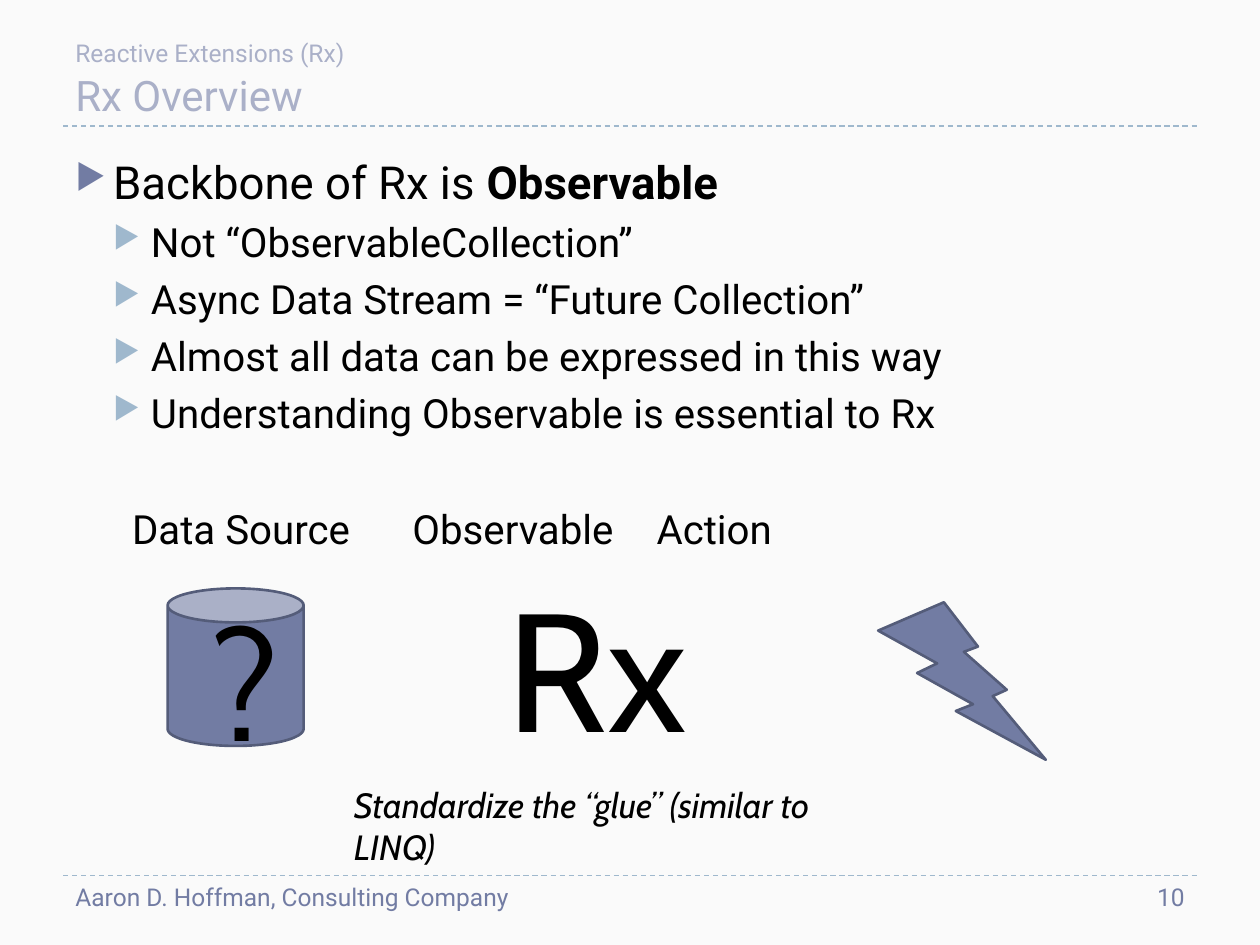
from dataclasses import dataclass

from lxml import etree
from pptx import Presentation
from pptx.dml.color import RGBColor
from pptx.enum.dml import MSO_LINE
from pptx.enum.shapes import MSO_CONNECTOR, MSO_SHAPE
from pptx.enum.text import MSO_ANCHOR, PP_ALIGN
from pptx.oxml.ns import qn
from pptx.util import Inches, Pt

CAN, BOLT = MSO_SHAPE.CAN, MSO_SHAPE.LIGHTNING_BOLT
STRAIGHT, DASH = MSO_CONNECTOR.STRAIGHT, MSO_LINE.DASH
TOP, BOTTOM = MSO_ANCHOR.TOP, MSO_ANCHOR.BOTTOM
LEFT, RIGHT = PP_ALIGN.LEFT, PP_ALIGN.RIGHT


@dataclass(frozen=True)
class Theme:
    background: str = "FAFAFA"
    primary: str = "727CA3"
    outline: str = "545C79"
    muted: str = "AAB0C8"
    accent: str = "9FB8CD"
    ink: str = "000000"
    body_font: str = "Roboto"
    display_font: str = "Cabin"
    small: int = 14
    caption: int = 20
    second_level: int = 23
    title: int = 24
    first_level: int = 26
    question: int = 88
    symbol: int = 96


class SlideBuilder:
    """Places elements on a grid of 40 columns by 30 rows, a quarter inch each."""

    CELL = 0.25

    def __init__(self, slide, theme):
        self.slide, self.theme = slide, theme
        fill = slide.background.fill
        fill.solid()
        fill.fore_color.rgb = RGBColor.from_string(theme.background)

    def grid(self, *cells):
        return [Inches(cell * self.CELL) for cell in cells]

    def rule(self, row):
        left, right, y = self.grid(2, 38, row)
        line = self.slide.shapes.add_connector(STRAIGHT, left, y, right, y)
        line.line.color.rgb = RGBColor.from_string(self.theme.accent)
        line.line.width = Pt(0.75)
        line.line.dash_style = DASH
        etree.SubElement(line._element.spPr, qn("a:effectLst"))

    def frame(self, area, anchor=TOP):
        text_frame = self.slide.shapes.add_textbox(*self.grid(*area)).text_frame
        text_frame.word_wrap = True
        text_frame.vertical_anchor = anchor
        return text_frame

    def run(self, paragraph, text, size, color, font, bold=False, italic=False):
        run = paragraph.add_run()
        run.text = text
        run.font.size, run.font.name = Pt(size), font
        run.font.bold, run.font.italic = bold, italic
        run.font.color.rgb = RGBColor.from_string(color)

    def text(self, area, text, size, color, font=None, anchor=TOP, align=LEFT, italic=False):
        paragraph = self.frame(area, anchor).paragraphs[0]
        paragraph.alignment = align
        self.run(paragraph, text, size, color, font or self.theme.body_font, italic=italic)

    def bullets(self, area, items):
        """Each item is a level and its (text, bold) runs."""
        theme = self.theme
        styles = [(theme.first_level, theme.primary, 6), (theme.second_level, theme.accent, 5)]
        text_frame = self.frame(area)
        for index, (level, runs) in enumerate(items):
            paragraph = text_frame.add_paragraph() if index else text_frame.paragraphs[0]
            size, color, space = styles[level]
            paragraph.level = level
            paragraph.space_before = Pt(space)
            self.bullet(paragraph, level, color)
            for text, bold in runs:
                self.run(paragraph, text, size, theme.ink, theme.body_font, bold)

    def bullet(self, paragraph, level, color):
        properties = paragraph._p.get_or_add_pPr()
        properties.set("marL", str(Inches(0.3 * (level + 1))))
        properties.set("indent", str(-Inches(0.3)))
        bullet_color = etree.SubElement(properties, qn("a:buClr"))
        etree.SubElement(bullet_color, qn("a:srgbClr"), val=color)
        etree.SubElement(properties, qn("a:buSzPct"), val="76000")
        etree.SubElement(properties, qn("a:buChar"), char="▶")

    def icon(self, preset, area):
        shape = self.slide.shapes.add_shape(preset, *self.grid(*area))
        shape.shadow.inherit = False
        shape.fill.solid()
        shape.fill.fore_color.rgb = RGBColor.from_string(self.theme.primary)
        shape.line.color.rgb = RGBColor.from_string(self.theme.outline)
        shape.line.width = Pt(1.5)


def main():
    presentation = Presentation()
    presentation.slide_width, presentation.slide_height = Inches(10), Inches(7.5)
    theme = Theme()
    builder = SlideBuilder(presentation.slides.add_slide(presentation.slide_layouts[6]), theme)

    # Header and footer
    for row in (27.8, 4):
        builder.rule(row)
    builder.text((2, 2, 36, 2), "Rx Overview", theme.title, theme.muted, anchor=BOTTOM)
    builder.text((2, 1, 36, 1), "Reactive Extensions (Rx)", theme.small, theme.muted)
    builder.text((2, 27.8, 25.3, 1.6), "Aaron D. Hoffman, Consulting Company",
                 theme.small, theme.primary)
    builder.text((35, 27.8, 3, 1.6), "10", theme.small, theme.primary, align=RIGHT)

    # Key points
    points = [
        "Not “ObservableCollection”",
        "Async Data Stream = “Future Collection”",
        "Almost all data can be expressed in this way",
        "Understanding Observable is essential to Rx",
    ]
    heading = (0, [("Backbone of Rx is ", False), ("Observable", True)])
    builder.bullets((2, 4.68, 36, 10), [heading] + [(1, [(point, False)]) for point in points])

    # Labels of the flow
    for column, label in ((3.8, "Data Source"), (12.7, "Observable"), (20.45, "Action")):
        builder.text((column, 15.8, 8, 1.9), label, theme.second_level, theme.ink)

    # Data source, observable and action
    builder.icon(CAN, (5.32, 18.68, 4.32, 5))
    builder.text((15.68, 17.72, 7.32, 6.88), "Rx", theme.symbol, theme.ink, theme.display_font)
    builder.text((6.32, 18.44, 7.32, 6.32), "?", theme.question, theme.ink, theme.display_font)
    builder.icon(BOLT, (27.88, 19.12, 5.32, 5))

    # Caption
    builder.text((10.84, 24.68, 17.52, 1.76), "Standardize the “glue” (similar to LINQ)",
                 theme.caption, theme.ink, theme.display_font, italic=True)

    presentation.save("out.pptx")


if __name__ == "__main__":
    main()
